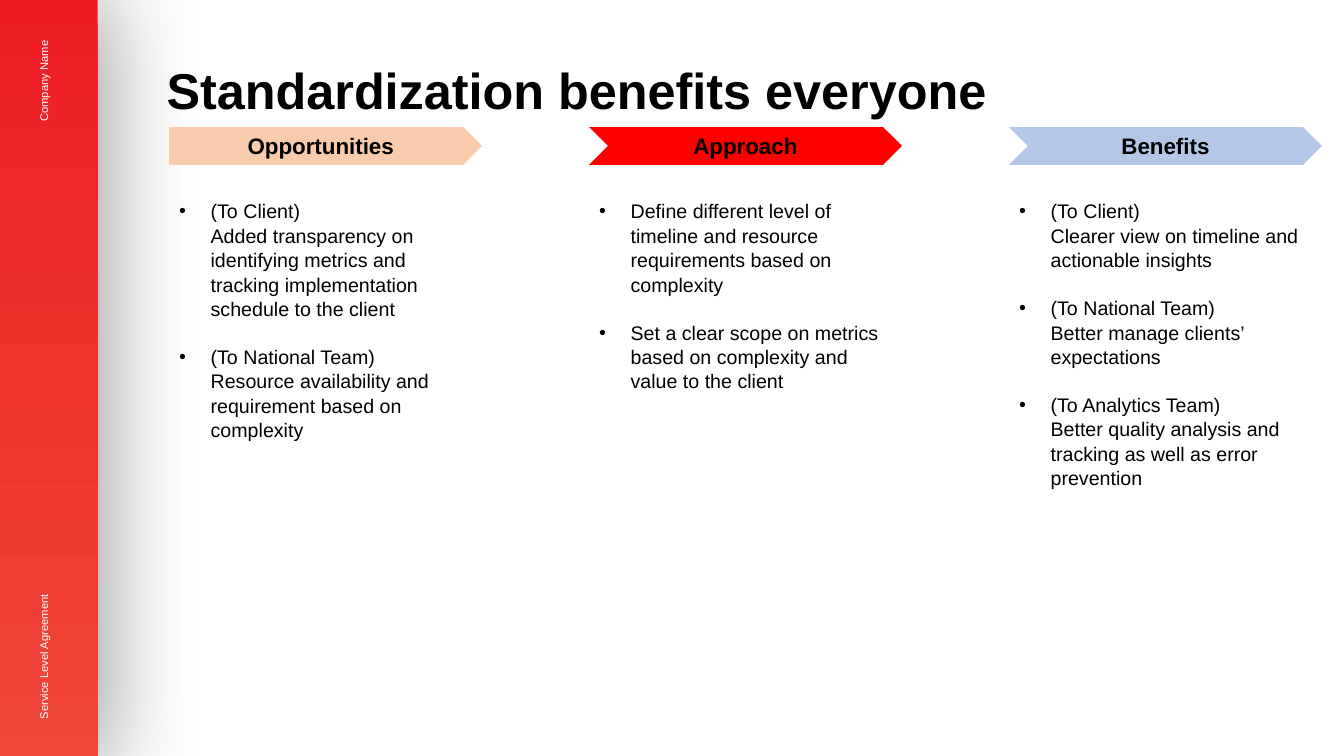
from copy import deepcopy

from lxml.etree import SubElement
from pptx import Presentation
from pptx.dml.color import RGBColor
from pptx.enum.shapes import MSO_SHAPE as Shape
from pptx.enum.text import MSO_ANCHOR as Anchor, MSO_AUTO_SIZE as AutoSize, PP_ALIGN as Align
from pptx.oxml.ns import qn
from pptx.util import Pt

PX = 9525  # EMU per px, 96 px to the inch
FONT = "Arial"

BLACK = RGBColor(0x00, 0x00, 0x00)
WHITE = RGBColor(0xFF, 0xFF, 0xFF)
PEACH = RGBColor(0xF8, 0xCB, 0xAD)
RED = RGBColor(0xFF, 0x00, 0x00)
LIGHT_BLUE = RGBColor(0xB4, 0xC7, 0xE7)
BAR_COLORS = [RGBColor(0xED, 0x1C, 0x23), RGBColor(0xEE, 0x32, 0x2E), RGBColor(0xEF, 0x47, 0x39)]

COLUMN_LEFT, COLUMN_STEP, COLUMN_WIDTH = 161, 400, 298
LIST_INDENT = 30

# Heading, arrow shape, fill, list height, list items
COLUMNS = [
    ("Opportunities", Shape.PENTAGON, PEACH, 236, [
        "(To Client)\vAdded transparency on identifying metrics and tracking "
        "implementation schedule to the client",
        "(To National Team)\vResource availability and requirement based on complexity",
    ]),
    ("Approach", Shape.CHEVRON, RED, 191, [
        "Define different level of timeline and resource requirements based on complexity",
        "Set a clear scope on metrics based on complexity and value to the client",
    ]),
    ("Benefits", Shape.CHEVRON, LIGHT_BLUE, 281, [
        "(To Client)\vClearer view on timeline and actionable insights",
        "(To National Team)\vBetter manage clients’ expectations",
        "(To Analytics Team)\vBetter quality analysis and tracking as well as error prevention",
    ]),
]


def px(*lengths):
    return [length * PX for length in lengths]


def place(shape, left, top, width, height):
    shape.left, shape.top, shape.width, shape.height = px(left, top, width, height)


def style_paragraph(paragraph, size, color=BLACK, bold=False, align=Align.LEFT):
    paragraph.alignment = align
    for run in paragraph.runs:
        run.font.name = FONT
        run.font.size = Pt(size)
        run.font.bold = bold
        run.font.color.rgb = color


def add_plain_shape(slide, kind, box):
    shape = slide.shapes.add_shape(kind, *px(*box))
    shape.shadow.inherit = False
    shape.line.fill.background()
    return shape


def add_side_bar(slide):
    bar = add_plain_shape(slide, Shape.RECTANGLE, (-9, -12, 102, 744))
    bar.fill.gradient()
    bar.fill.gradient_angle = 270
    properties = bar._element.spPr
    stop_list = properties.find(qn("a:gradFill")).find(qn("a:gsLst"))
    stop_list.insert(1, deepcopy(stop_list[0]))
    for index, (stop, color) in enumerate(zip(bar.fill.gradient_stops, BAR_COLORS)):
        stop.position = index / 2
        stop.color.rgb = color

    # Soft shadow over the page
    shadow = SubElement(properties.find(qn("a:effectLst")), qn("a:outerShdw"),
                        blurRad=str(Pt(80)), dist=str(Pt(4)), dir="5400000",
                        algn="ctr", rotWithShape="0")
    shadow_color = SubElement(shadow, qn("a:srgbClr"), val=str(BLACK))
    SubElement(shadow_color, qn("a:alpha"), val="46000")


def add_side_label(slide, text, box):
    label = slide.shapes.add_textbox(*px(*box))
    label.rotation = 270
    label.text_frame.word_wrap = True
    label.text_frame.text = text
    style_paragraph(label.text_frame.paragraphs[0], 8, WHITE)


def set_title(slide, text):
    title = slide.shapes.title
    place(title, 149, 51, 922, 68)
    frame = title.text_frame
    frame.text = text
    frame.auto_size = AutoSize.NONE
    frame.vertical_anchor = Anchor.MIDDLE
    style_paragraph(frame.paragraphs[0], 36, bold=True)


def add_heading(slide, text, kind, fill, left):
    heading = add_plain_shape(slide, kind, (left, 121, COLUMN_WIDTH, 36))
    heading.fill.solid()
    heading.fill.fore_color.rgb = fill
    heading.text_frame.text = text
    heading.text_frame.vertical_anchor = Anchor.MIDDLE
    style_paragraph(heading.text_frame.paragraphs[0], 16, bold=True, align=Align.CENTER)


def fill_list(placeholder, items, left, height):
    place(placeholder, left, 184, COLUMN_WIDTH, height)
    frame = placeholder.text_frame
    frame.text = "\n".join(items)
    frame.word_wrap = True
    frame.auto_size = AutoSize.NONE
    frame.vertical_anchor = Anchor.TOP
    for index, paragraph in enumerate(frame.paragraphs):
        style_paragraph(paragraph, 14)
        paragraph.line_spacing = 1.04
        paragraph.space_before = Pt(16.8 if index else 0)
        properties = paragraph._p.get_or_add_pPr()
        properties.set("marL", str(LIST_INDENT * PX))
        properties.set("indent", str(-LIST_INDENT * PX))
        SubElement(properties, qn("a:buFont"), typeface=FONT)
        SubElement(properties, qn("a:buChar"), char="•")


def main():
    presentation = Presentation()
    presentation.slide_width, presentation.slide_height = px(1280, 720)
    comparison_layout = presentation.slide_layouts[4]
    slide = presentation.slides.add_slide(comparison_layout)

    # Side bar
    add_side_bar(slide)
    add_side_label(slide, "Company Name", (-12, 60, 108, 23))
    add_side_label(slide, "Service Level Agreement", (-108, 533, 300, 23))

    # Title
    set_title(slide, "Standardization benefits everyone")

    # Columns
    *bodies, spare = list(slide.placeholders)[1:]
    spare._element.getparent().remove(spare._element)
    for index, (heading, kind, fill, height, items) in enumerate(COLUMNS):
        left = COLUMN_LEFT + index * COLUMN_STEP
        add_heading(slide, heading, kind, fill, left)
        fill_list(bodies[index], items, left, height)

    presentation.save("out.pptx")


if __name__ == "__main__":
    main()
